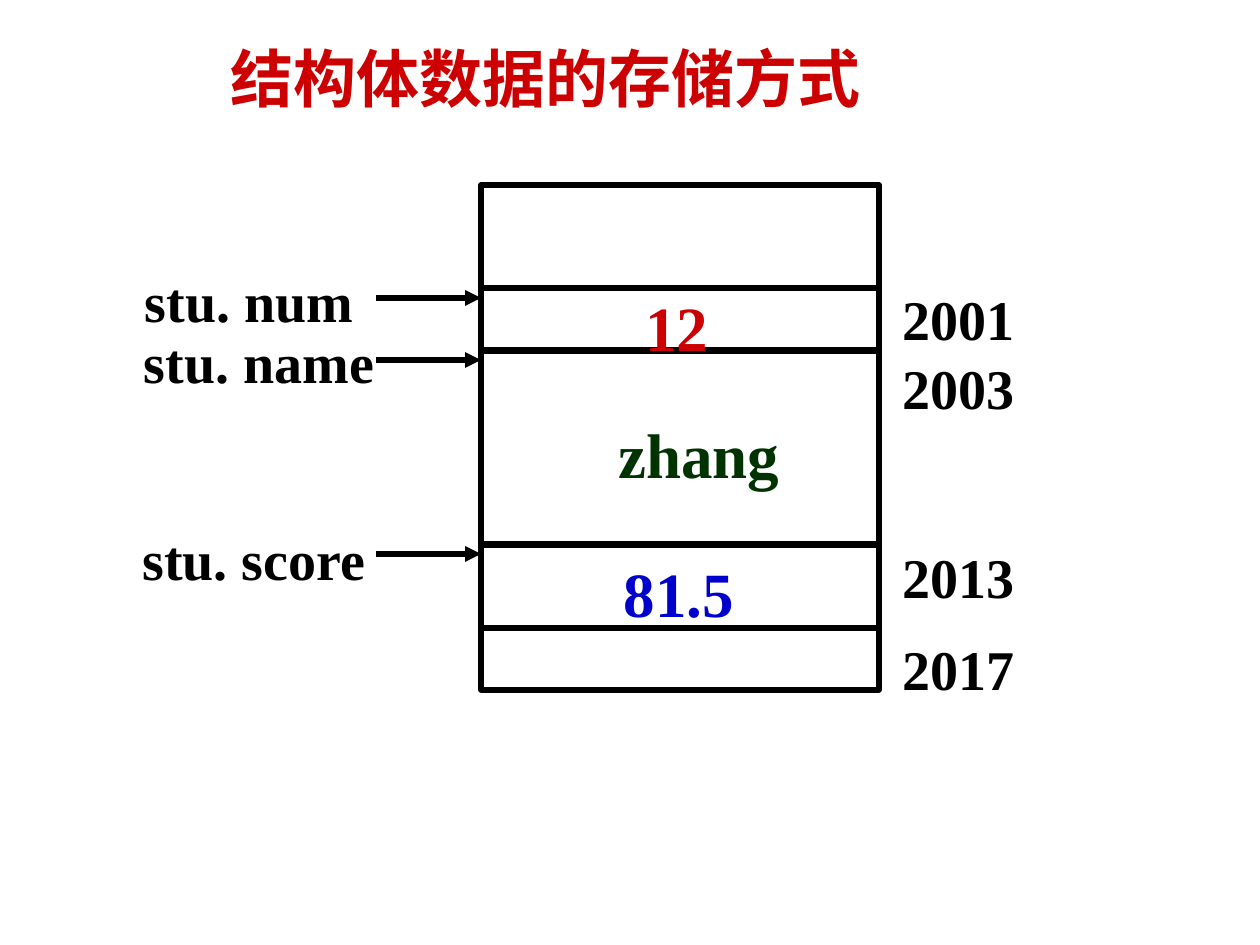
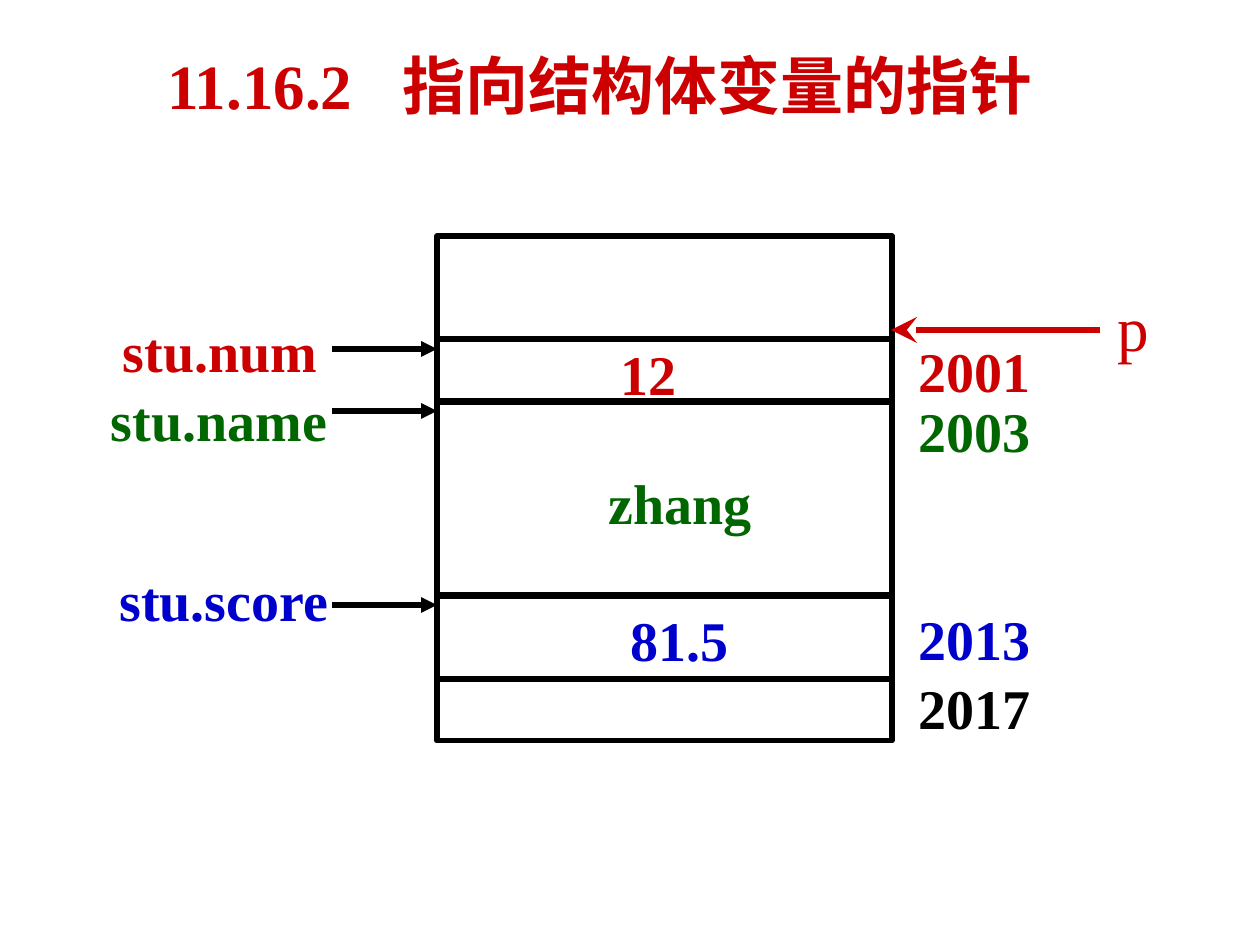
from lxml import etree
from pptx import Presentation
from pptx import util as u
from pptx.dml.color import RGBColor
from pptx.enum import shapes, text
from pptx.oxml.ns import qn

EMU_PER_PX = 914400 / 126
FONT = "Times New Roman"
BLACK, RED, BLUE = "000000", "CC0000", "0000CC"
GREEN, DARK_GREEN = "006600", "003300"

# Memory map, measured down from its top edge
MAP_HEIGHT = 505
DIVIDERS = (103, 165, 360, 443)
FIELD_TOP, FIELD_HEIGHTS = 105, (63, 189, 84)
ARROW_TOPS, ARROW_LENGTH = (113, 175, 369), 105


def px(length):
    return u.Emu(round(length * EMU_PER_PX))


def colour(value):
    return RGBColor.from_string(value)


def add_text(slide, words, left, top, width, height, size=32, ink=BLACK,
             bold=True, align=text.PP_ALIGN.CENTER,
             anchor=text.MSO_ANCHOR.TOP, tab=None):
    box = slide.shapes.add_textbox(px(left), px(top), px(width), px(height))
    frame = box.text_frame
    frame.word_wrap = True
    frame.vertical_anchor = anchor
    frame.margin_left = frame.margin_right = 0
    frame.margin_top = frame.margin_bottom = 0
    paragraph = frame.paragraphs[0]
    paragraph.alignment = align
    if tab:
        properties = paragraph._p.get_or_add_pPr()
        tabs = etree.SubElement(properties, qn("a:tabLst"))
        etree.SubElement(tabs, qn("a:tab"), pos=str(px(tab)), algn="l")
    run = paragraph.add_run()
    run.text = words
    run.font.name, run.font.size, run.font.bold = FONT, u.Pt(size), bold
    run.font.color.rgb = colour(ink)


def add_centred(slide, words, centre, top, width=300, **style):
    add_text(slide, words, centre - width // 2, top, width, 72, **style)


def add_title(slide, words, left, top, width, **style):
    add_text(slide, words, left, top, width, 98, size=36, ink=RED,
             anchor=text.MSO_ANCHOR.MIDDLE, **style)


def add_frame(slide, left, top, width, height, weight):
    shape = slide.shapes.add_shape(shapes.MSO_SHAPE.RECTANGLE, px(left),
                                   px(top), px(width), px(height))
    shape.shadow.inherit = False
    shape.fill.background()
    shape.line.color.rgb = colour(BLACK)
    shape.line.width = u.Pt(weight)


def add_line(slide, start, end, top, ink=BLACK, arrow=None, size="med"):
    line = slide.shapes.add_connector(shapes.MSO_CONNECTOR.STRAIGHT,
                                      px(start), px(top), px(end), px(top))
    line.line.color.rgb = colour(ink)
    line.line.width = u.Pt(3)
    if arrow:
        etree.SubElement(line.line._get_or_add_ln(), qn("a:tailEnd"),
                         type=arrow, w=size, len=size)
    etree.SubElement(line._element.spPr, qn("a:effectLst"))


def add_memory_map(slide, left, top, width, texts, value_size):
    """Texts are (words, centre, top, colour), relative to the map."""
    # Thin frames of the three fields
    field_top = top + FIELD_TOP
    for height in FIELD_HEIGHTS:
        add_frame(slide, left + 1, field_top, width - 2, height, 0.75)
        field_top += height
    # Outer frame and dividers
    add_frame(slide, left, top, width, MAP_HEIGHT, 3)
    for offset in DIVIDERS:
        add_line(slide, left, left + width, top + offset)
    # Arrows from the member names
    for offset in ARROW_TOPS:
        add_line(slide, left - ARROW_LENGTH, left, top + offset,
                 arrow="triangle")
    # Values inside, member names on the left, addresses on the right
    for words, centre, offset, ink in texts:
        size = value_size if 0 < centre < width else 32
        add_centred(slide, words, left + centre, top + offset,
                    size=size, ink=ink)


def add_addresses(centre, rows):
    return [(words, centre, top, ink) for words, top, ink in rows]


def build_storage_slide(slide):
    add_title(slide, "结构体数据的存储方式", 154, 28, 784)
    texts = [
        ("12", 196, 103, RED),
        ("zhang", 218, 231, DARK_GREEN),
        ("81.5", 198, 370, BLUE),
        ("stu. num", -232, 82, BLACK),
        ("stu. name", -222, 142, BLACK),
        ("stu. score", -227, 340, BLACK),
    ] + add_addresses(478, [("2001", 100, BLACK), ("2003", 168, BLACK),
                            ("2013", 358, BLACK), ("2017", 449, BLACK)])
    add_memory_map(slide, 481, 185, 398, texts, value_size=36)


def build_pointer_slide(slide):
    add_title(slide, "11.16.2\t指向结构体变量的指针", 167, 35, 912,
              align=text.PP_ALIGN.LEFT, tab=235)
    left, top, width = 437, 236, 455
    texts = [
        ("12", 212, 103, RED),
        ("zhang", 243, 233, GREEN),
        ("81.5", 243, 369, BLUE),
        ("stu.num", -217, 81, RED),
        ("stu.name", -218, 150, GREEN),
        ("stu.score", -213, 329, BLUE),
    ] + add_addresses(538, [("2001", 101, RED), ("2003", 160, GREEN),
                            ("2013", 368, BLUE), ("2017", 437, BLACK)])
    add_memory_map(slide, left, top, width, texts, value_size=32)
    # Pointer p to the start of the structure
    add_line(slide, left + 663, left + width - 1, top + 94, ink=RED,
             arrow="stealth", size="lg")
    add_centred(slide, "p", left + 696, top + 52, width=70, size=36,
                ink=RED, bold=False)


def main():
    presentation = Presentation()
    presentation.slide_width, presentation.slide_height = px(1260), px(945)
    for build in (build_storage_slide, build_pointer_slide):
        build(presentation.slides.add_slide(presentation.slide_layouts[6]))
    presentation.save("out.pptx")


if __name__ == "__main__":
    main()
